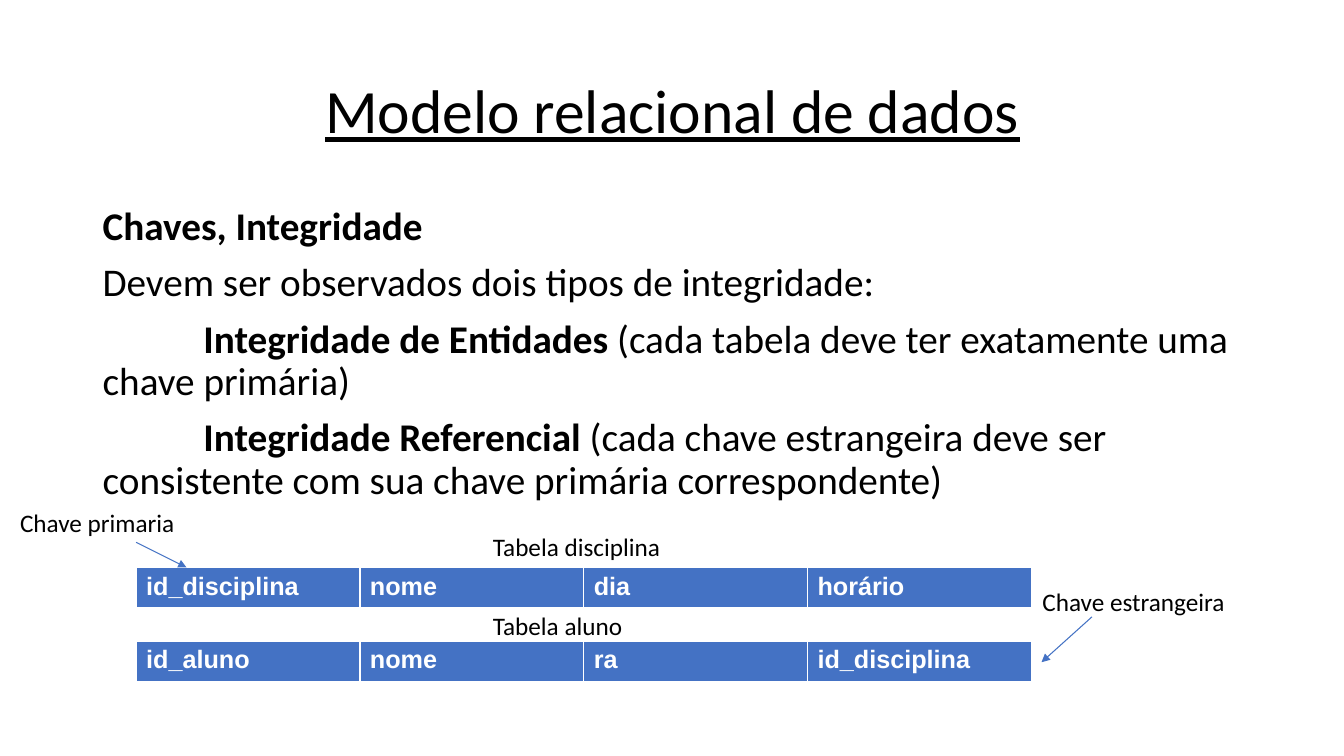
"""Build the slide on keys and integrity in the relational data model."""
from typing import Any, NamedTuple

from lxml import etree
from pptx import Presentation
from pptx import util as u
from pptx.dml.color import RGBColor
from pptx.enum import shapes, text
from pptx.oxml.ns import qn

COLOURS = {"ink": "000000", "accent": "4472C4", "paper": "FFFFFF"}
TITLE = {"size": u.Pt(44), "name": "Calibri", "underline": True}
BODY = {"size": u.Pt(28), "name": "Calibri"}
STRONG = BODY | {"bold": True}
CAPTION = {"size": u.Pt(18), "name": "Calibri"}
FIELD = {"size": u.Pt(18), "name": "Arial", "bold": True}


class Phrase(NamedTuple):
    wording: str
    style: dict[str, Any]


class Statement(NamedTuple):
    phrases: list[Phrase]
    indent: float = 0
    before: float = 10


class Caption(NamedTuple):
    wording: str
    left: float
    top: float
    width: float


class Relation(NamedTuple):
    top: float
    height: float
    fields: list[str]


class Pointer(NamedTuple):
    start: tuple[float, float]
    end: tuple[float, float]


STATEMENTS = [
    Statement([Phrase("Chaves, Integridade", STRONG)], before=0),
    Statement([Phrase("Devem ser observados dois tipos de integridade:", BODY)]),
    Statement([Phrase("Integridade de Entidades ", STRONG),
               Phrase("(cada tabela deve ter exatamente uma chave primária)", BODY)], 1),
    Statement([Phrase("Integridade Referencial ", STRONG),
               Phrase("(cada chave estrangeira deve ser consistente com sua "
                      "chave primária correspondente)", BODY)], 1),
]
CAPTIONS = [
    Caption("Tabela disciplina", 4.79, 5.22, 1.88),
    Caption("Tabela aluno", 4.79, 6.01, 1.5),
    Caption("Chave primaria", 0.1, 4.98, 2.49),
    Caption("Chave estrangeira", 10.24, 5.77, 2.49),
]
RELATIONS = [
    Relation(6.36, 0.25, ["id_aluno", "nome", "ra", "id_disciplina"]),
    Relation(5.63, 0.31, ["id_disciplina", "nome", "dia", "horário"]),
]
POINTERS = [
    Pointer((1.35, 5.38), (1.85, 5.63)),
    Pointer((10.83, 6.12), (10.33, 6.57)),
]
RELATION_LEFT, FIELD_WIDTH = 1.35, 2.22


def colour(key: str) -> RGBColor:
    """Look up a palette colour."""
    return RGBColor.from_string(COLOURS[key])


def write(paragraph: Any, phrase: Phrase, ink: str = "ink") -> None:
    """Append a formatted phrase to a paragraph."""
    run = paragraph.add_run()
    run.text = phrase.wording
    for attribute, value in phrase.style.items():
        setattr(run.font, attribute, value)
    run.font.color.rgb = colour(ink)


def add_frame(slide: Any, left: float, top: float, width: float, height: float) -> Any:
    """Add a wrapping text frame."""
    box = slide.shapes.add_textbox(*map(u.Inches, (left, top, width, height)))
    box.text_frame.word_wrap = True
    return box.text_frame


def add_title(slide: Any, wording: str) -> None:
    """Add the centred heading."""
    heading = add_frame(slide, 0.92, 0.4, 11.5, 1.45)
    heading.vertical_anchor = text.MSO_ANCHOR.MIDDLE
    line = heading.paragraphs[0]
    line.alignment = text.PP_ALIGN.CENTER
    line.line_spacing = 0.9
    write(line, Phrase(wording, TITLE))


def add_statements(slide: Any, statements: list[Statement]) -> None:
    """Add the explanation, one paragraph per statement."""
    explanation = add_frame(slide, 0.92, 2, 11.5, 4.76)
    for index, statement in enumerate(statements):
        line = explanation.add_paragraph() if index else explanation.paragraphs[0]
        line.line_spacing = 0.9
        line.space_before = u.Pt(statement.before)
        line._p.get_or_add_pPr().set("indent", str(u.Inches(statement.indent)))
        for phrase in statement.phrases:
            write(line, phrase)


def add_relation(slide: Any, relation: Relation) -> None:
    """Add a relation as a one-row table of its fields."""
    count = len(relation.fields)
    header = slide.shapes.add_table(
        1, count, u.Inches(RELATION_LEFT), u.Inches(relation.top),
        u.Inches(FIELD_WIDTH * count), u.Inches(relation.height)).table
    for column, cell, field in zip(header.columns, header.rows[0].cells, relation.fields):
        column.width = u.Inches(FIELD_WIDTH)
        cell.fill.solid()
        cell.fill.fore_color.rgb = colour("accent")
        write(cell.text_frame.paragraphs[0], Phrase(field, FIELD), "paper")


def add_caption(slide: Any, caption: Caption) -> None:
    """Add a short label."""
    label = add_frame(slide, caption.left, caption.top, caption.width, 0.4)
    write(label.paragraphs[0], Phrase(caption.wording, CAPTION))


def add_pointer(slide: Any, pointer: Pointer) -> None:
    """Add an arrow from a label to its key."""
    arrow = slide.shapes.add_connector(
        shapes.MSO_CONNECTOR.STRAIGHT, *map(u.Inches, pointer.start + pointer.end))
    arrow.line.color.rgb = colour("accent")
    arrow.line.width = u.Pt(0.75)
    etree.SubElement(arrow.line._get_or_add_ln(), qn("a:tailEnd"), type="triangle")
    etree.SubElement(arrow._element.spPr, qn("a:effectLst"))


def main() -> None:
    """Assemble and save the slide."""
    deck = Presentation()
    deck.slide_width, deck.slide_height = u.Inches(13.33), u.Inches(7.5)
    slide = deck.slides.add_slide(deck.slide_layouts[6])
    add_title(slide, "Modelo relacional de dados")
    add_statements(slide, STATEMENTS)
    for relation in RELATIONS:
        add_relation(slide, relation)
    for caption in CAPTIONS:
        add_caption(slide, caption)
    for pointer in POINTERS:
        add_pointer(slide, pointer)
    deck.save("out.pptx")


main()
